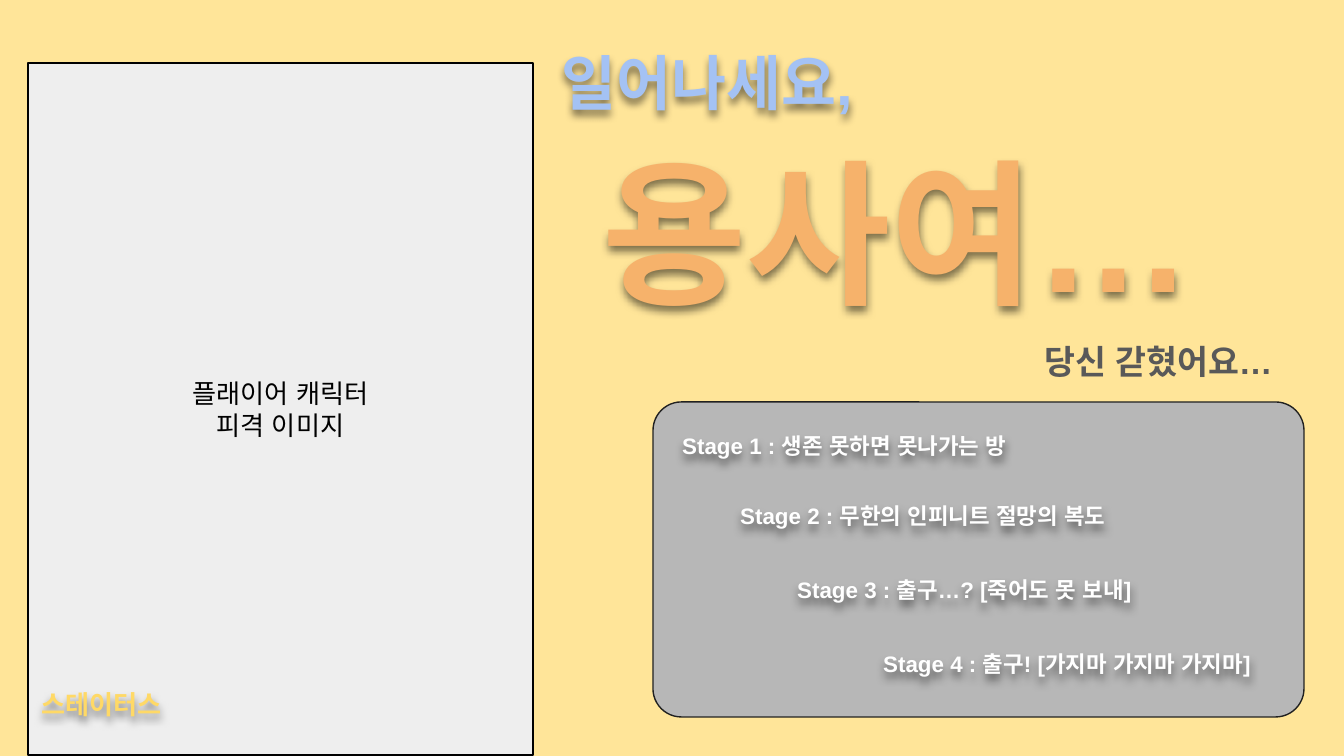
from lxml.etree import SubElement
from pptx import Presentation
from pptx.dml.color import RGBColor
from pptx.enum.shapes import MSO_SHAPE as Shape
from pptx.enum.text import MSO_ANCHOR as Anchor, MSO_AUTO_SIZE as AutoSize, PP_ALIGN as Align
from pptx.oxml.ns import qn
from pptx.util import Pt

# Content: text, (left, top, width, height) in px, size, colour, shadow
TITLE = ("용사여…", (589, 122, 684, 218), 84, "orange", True)
LABELS = [
    ("일어나세요,", (548, 32, 345, 99), 32, "blue", True),
    ("당신 갇혔어요…", (1031, 328, 273, 67), 18, "dark", False),
    ("스테이터스", (28, 675, 164, 59), 14, "yellow", True),
]
STAGES = [  # text, left, top, width
    ("생존 못하면 못나가는 방", 669, 419, 382),
    ("무한의 인피니트 절망의 복도", 727, 489, 425),
    ("출구…? [죽어도 못 보내]", 784, 563, 425),
    ("출구! [가지마 가지마 가지마]", 870, 637, 425),
]
STAGE_HEIGHT = 54
CHARACTER_TEXT = "플래이어 캐릭터\n피격 이미지"
CHARACTER_BOX = (28, 63, 505, 692)
STAGE_PANEL = (653, 402, 651, 315)

COLORS = {
    "background": "FFE599", "blue": "A4C2F4", "orange": "F6B26B",
    "dark": "595959", "yellow": "FFD966", "white": "FFFFFF",
    "black": "000000", "light": "EEEEEE", "gray": "B7B7B7", "outline": "212121",
}
FONT = "Arial"
PX = 914400 / 134.4


def px(value):
    return round(value * PX)


def color(name):
    return RGBColor.from_string(COLORS[name])


def place(shape, box):
    shape.left, shape.top, shape.width, shape.height = map(px, box)


def add_shadow(shape):
    effects = SubElement(shape._element.spPr, qn("a:effectLst"))
    shadow = SubElement(effects, qn("a:outerShdw"), blurRad=str(Pt(4.5)), dist=str(Pt(3)),
                        dir="5400000", algn="bl", rotWithShape="0")
    shade = SubElement(shadow, qn("a:srgbClr"), val=COLORS["black"])
    SubElement(shade, qn("a:alpha"), val="50000")


def write(shape, text, size, color_name, bold=True, align=Align.LEFT, anchor=Anchor.TOP):
    frame = shape.text_frame
    frame.text = text
    frame.word_wrap = True
    frame.vertical_anchor = anchor
    frame.margin_left = frame.margin_right = frame.margin_top = frame.margin_bottom = px(13.44)
    for paragraph in frame.paragraphs:
        paragraph.alignment = align
        for run in paragraph.runs:
            font = run.font
            font.size, font.bold, font.name = Pt(size), bold, FONT
            font.color.rgb = color(color_name)
            SubElement(run._r.get_or_add_rPr(), qn("a:ea"), typeface=FONT)


def format_label(shape, text, box, size, color_name, shadow):
    place(shape, box)
    write(shape, text, size, color_name)
    shape.text_frame.auto_size = AutoSize.SHAPE_TO_FIT_TEXT
    if shadow:
        add_shadow(shape)


def add_panel(slide, kind, box, fill, line):
    shape = slide.shapes.add_shape(kind, *map(px, box))
    shape.shadow.inherit = False
    shape.fill.solid()
    shape.fill.fore_color.rgb = color(fill)
    shape.line.color.rgb = color(line)
    shape.line.width = Pt(0.75)
    return shape


def main():
    presentation = Presentation()
    presentation.slide_width, presentation.slide_height = px(1344), px(756)
    slide = presentation.slides.add_slide(presentation.slide_layouts[5])
    slide.background.fill.solid()
    slide.background.fill.fore_color.rgb = color("background")

    # Title
    format_label(slide.shapes.title, *TITLE)

    # Character image area and stage panel
    character = add_panel(slide, Shape.RECTANGLE, CHARACTER_BOX, "light", "black")
    write(character, CHARACTER_TEXT, 14, "black", False, Align.CENTER, Anchor.MIDDLE)
    panel = add_panel(slide, Shape.ROUNDED_RECTANGLE, STAGE_PANEL, "gray", "outline")
    panel.adjustments[0] = 0.09

    # Labels and stage list
    stage_labels = [
        (f"Stage {number} : {name}", (left, top, width, STAGE_HEIGHT), 12, "white", True)
        for number, (name, left, top, width) in enumerate(STAGES, 1)
    ]
    for label in LABELS + stage_labels:
        format_label(slide.shapes.add_textbox(0, 0, 0, 0), *label)

    presentation.save("out.pptx")


if __name__ == "__main__":
    main()
